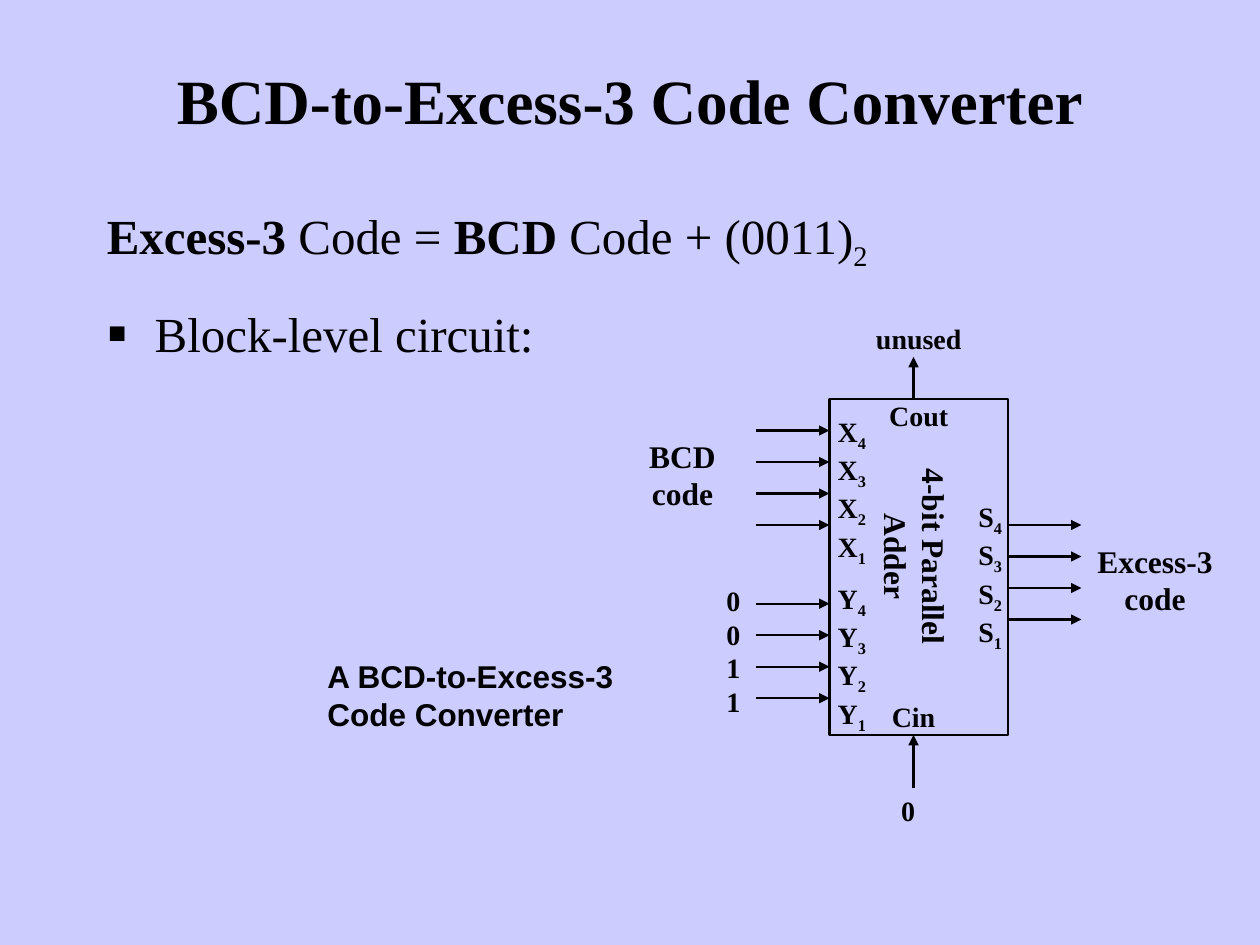
from lxml import etree
from pptx import Presentation
from pptx.dml.color import RGBColor
from pptx.enum.shapes import MSO_CONNECTOR, MSO_SHAPE
from pptx.enum.text import MSO_ANCHOR, PP_ALIGN
from pptx.oxml.ns import qn
from pptx.util import Inches, Pt

COLORS = {"background": "CCCCFF", "ink": "000000"}
SERIF, SANS = "Times New Roman", "Arial"

prs = Presentation()
prs.slide_width, prs.slide_height = Inches(10), Inches(7.5)
CELL = prs.slide_width / 120  # grid of 120 columns by 90 rows
slide = prs.slides.add_slide(prs.slide_layouts[6])
slide.background.fill.solid()
slide.background.fill.fore_color.rgb = RGBColor.from_string(COLORS["background"])
INK = RGBColor.from_string(COLORS["ink"])


def write(text, box, size=16, font=SERIF, bold=True, center=False,
          anchor=MSO_ANCHOR.TOP, bullet=None, before=0, rotation=0):
    """Segments split by "|": a leading "_" means subscript, "*" means bold."""
    label = slide.shapes.add_textbox(*(round(v * CELL) for v in box))
    label.rotation = rotation
    frame = label.text_frame
    frame.word_wrap = True
    frame.vertical_anchor = anchor
    for number, line in enumerate(text.split("\n")):
        paragraph = frame.paragraphs[0] if number == 0 else frame.add_paragraph()
        if number and bullet:
            props = paragraph._p.get_or_add_pPr()
            props.set("marL", str(Inches(0.38)))
            props.set("indent", str(-Inches(0.38)))
            etree.SubElement(props, qn("a:buSzPct"), val="120000")
            etree.SubElement(props, qn("a:buFont"), typeface=SANS)
            etree.SubElement(props, qn("a:buChar"), char=bullet)
        if number and before:
            paragraph.space_before = Pt(before)
        paragraph.alignment = PP_ALIGN.CENTER if center else PP_ALIGN.LEFT
        for segment in line.split("|"):
            run = paragraph.add_run()
            run.text = segment.lstrip("*_")
            run.font.size, run.font.name = Pt(size), font
            run.font.bold = bold or segment.startswith("*")
            run.font.color.rgb = INK
            if segment.startswith("_"):
                run._r.get_or_add_rPr().set("baseline", "-25000")


def draw_arrow(x1, y1, x2, y2):
    ends = (round(v * CELL) for v in (x1, y1, x2, y2))
    arrow = slide.shapes.add_connector(MSO_CONNECTOR.STRAIGHT, *ends)
    arrow.line.color.rgb = INK
    arrow.line.width = Pt(1.25)
    etree.SubElement(arrow.line._get_or_add_ln(), qn("a:tailEnd"), type="triangle")
    etree.SubElement(arrow._element.spPr, qn("a:effectLst"))


# Title and body
write("BCD-to-Excess-3 Code Converter", (9, 2, 102, 15), size=36,
      center=True, anchor=MSO_ANCHOR.MIDDLE)
write("*Excess-3| Code = |*BCD| Code + (0011)|_2\nBlock-level circuit:",
      (9, 19, 102, 61), size=28, bold=False, bullet="▪", before=17.5)

# Adder block
adder = slide.shapes.add_shape(
    MSO_SHAPE.RECTANGLE, *(round(v * CELL) for v in (79, 38, 17, 32)))
adder.shadow.inherit = False
adder.fill.background()
adder.line.color.rgb = INK
adder.line.width = Pt(1.5)
write("4-bit Parallel Adder", (77.2, 48.8, 20, 8.4), size=18, center=True, rotation=90)

# Four-bit ports: pin names, pin column and row, arrow start and first row
ports = [("X", 78.6, 38.9, 72, 41), ("Y", 78.6, 54.8, 72, 57.5), ("S", 92, 47, 96, 50)]
for port, pin_x, pin_y, wire_x, wire_y in ports:
    pins = "\n".join(f"{port}|_{bit}" for bit in (4, 3, 2, 1))
    write(pins, (pin_x, pin_y, 6, 15.8))
    for bit in range(4):
        row = wire_y + 3 * bit
        draw_arrow(wire_x, row, wire_x + 7, row)

# Carry in and carry out
draw_arrow(87, 75, 87, 70)
draw_arrow(87, 38, 87, 34)
for carry, box in [("unused", (82, 30, 11, 4.4)), ("0", (84, 75, 5, 4.4)),
                   ("Cin", (83, 66, 8, 4.4)), ("Cout", (83, 37.4, 9, 4.4))]:
    write(carry, box, center=True)

# Inputs, outputs and caption
write("0\n0\n1\n1", (68, 55, 4, 14))
write("BCD\ncode", (60, 41, 10, 8.4), size=18, center=True)
write("Excess-3\ncode", (103, 51, 14, 8.4), size=18, center=True)
write("A BCD-to-Excess-3 Code Converter", (30, 62, 33, 8.4), size=18, font=SANS)

prs.save("out.pptx")
